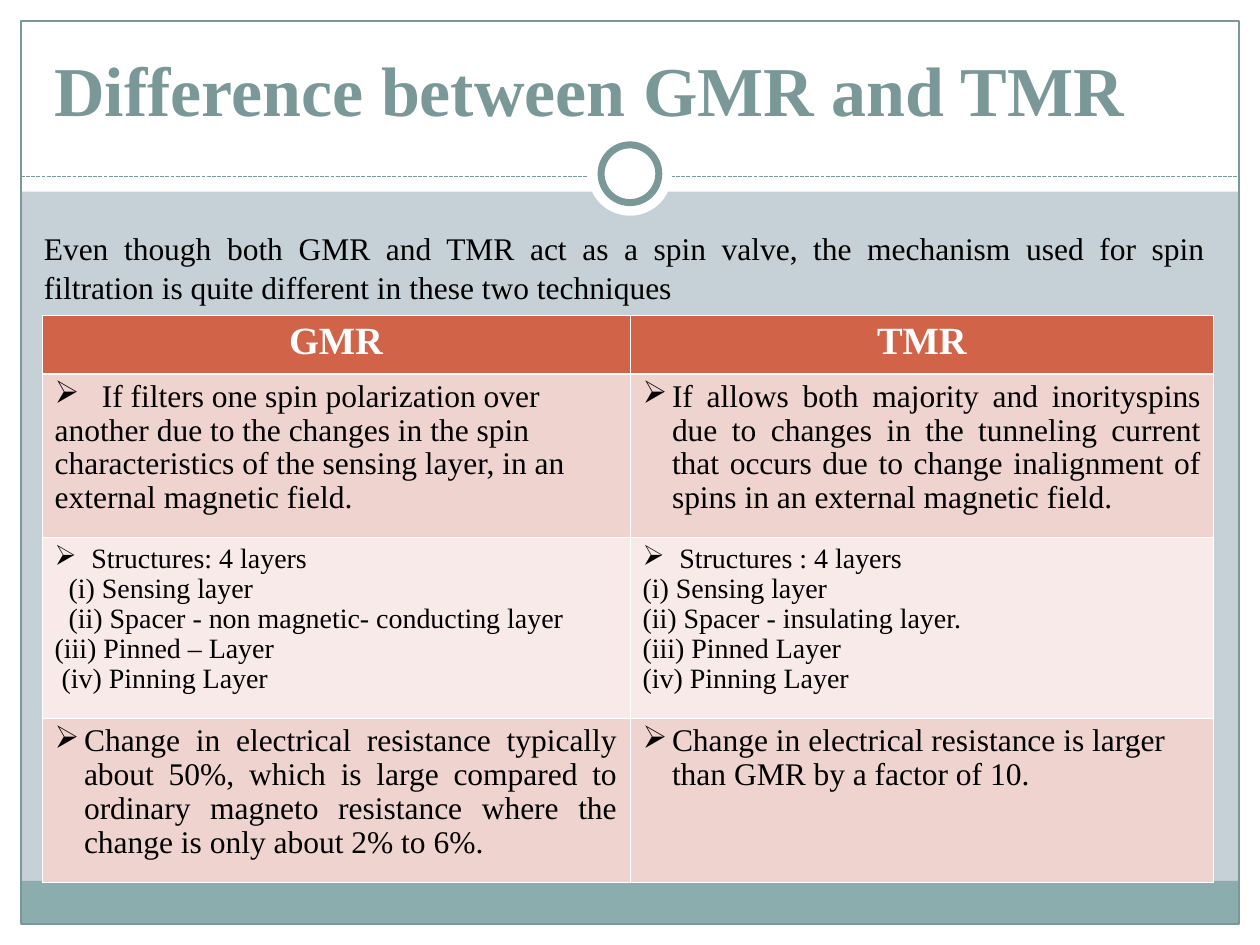
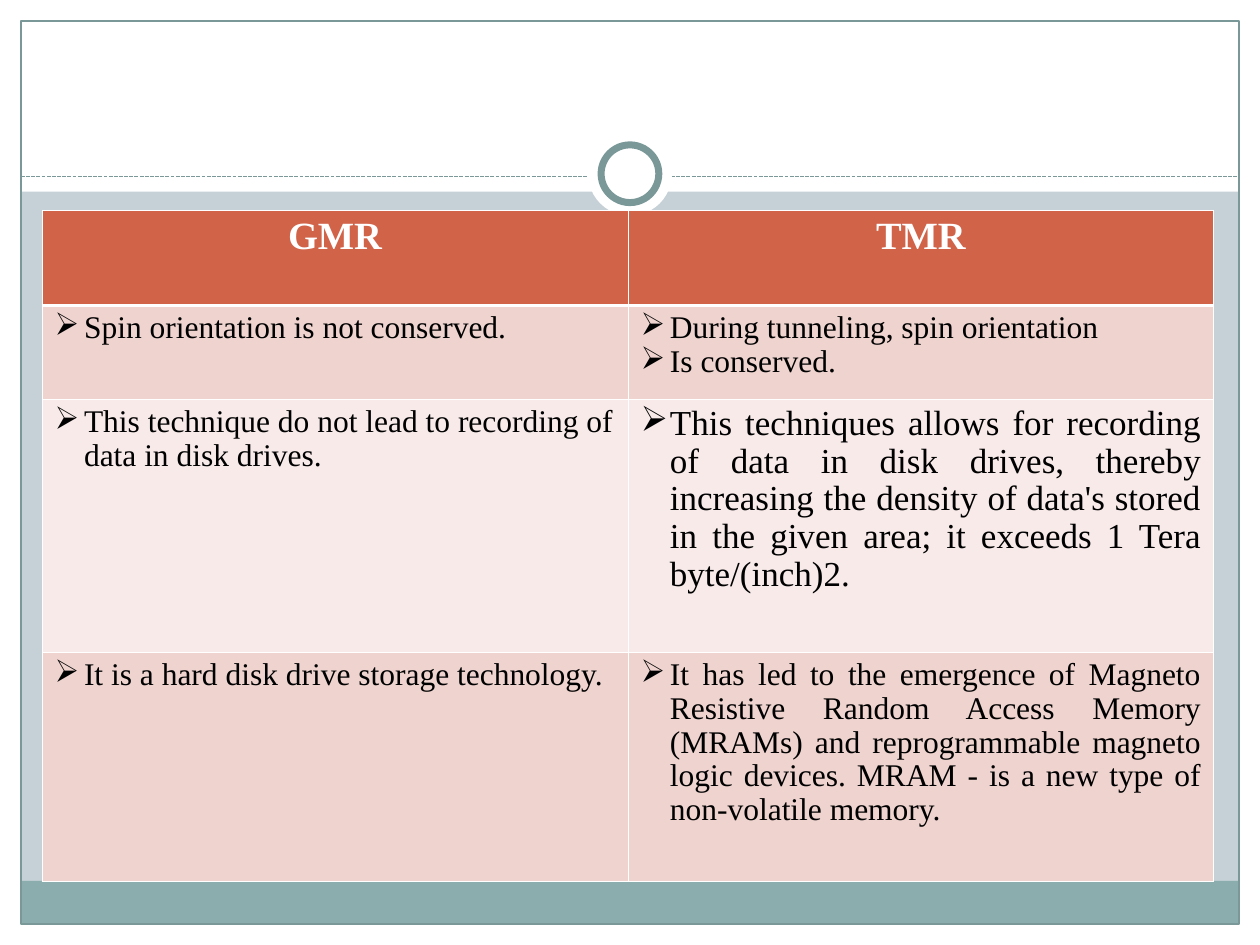
from dataclasses import dataclass

from lxml.etree import SubElement
from pptx import Presentation
from pptx.dml.color import RGBColor
from pptx.enum.dml import MSO_LINE
from pptx.enum.shapes import MSO_CONNECTOR, MSO_SHAPE
from pptx.enum.text import MSO_ANCHOR, PP_ALIGN
from pptx.oxml.ns import qn
from pptx.util import Inches, Pt

COLUMNS, ROWS = 120, 90  # grid of the slide, one unit is a twelfth of an inch
EDGE = 2  # white margin around the frame
FONT = "Times New Roman"
COLORS = {
    "back": "C5D1D7", "white": "FFFFFF", "footer": "8CADAE", "accent": "7B9899",
    "header": "D16349", "odd": "EED3CF", "even": "F7EAE9", "text": "000000",
}
LEFT, CENTER, JUSTIFY = PP_ALIGN.LEFT, PP_ALIGN.CENTER, PP_ALIGN.JUSTIFY


@dataclass
class Line:
    """One paragraph; margin and first-line indent are in grid units."""
    text: str
    size: int = 18
    align: PP_ALIGN = LEFT
    margin: float = 0
    indent: float = 0
    bullet: bool = False
    color: str = "text"
    bold: bool = False


def point(text, size=18, align=LEFT, hang=2.8):
    return Line(text, size, align, hang, -hang, True)


def layer(text, margin=0.0):
    return Line(text, 16, margin=margin)


def rgb(name):
    return RGBColor.from_string(COLORS[name])


class SlideBuilder:
    def __init__(self, deck):
        self.deck = deck
        self.unit = deck.slide_width / COLUMNS
        self.page = None

    def grid(self, *lengths):
        return [round(length * self.unit) for length in lengths]

    def add_page(self):
        self.page = self.deck.slides.add_slide(self.deck.slide_layouts[6])
        background = self.page.background.fill
        background.solid()
        background.fore_color.rgb = rgb("back")
        self.frame()

    def shape(self, kind, area, fill=None, line=None, width=0.75):
        item = self.page.shapes.add_shape(kind, *self.grid(*area))
        item.shadow.inherit = False
        if fill:
            item.fill.solid()
            item.fill.fore_color.rgb = rgb(fill)
        else:
            item.fill.background()
        if line:
            item.line.color.rgb = rgb(line)
            item.line.width = Pt(width)
        else:
            item.line.fill.background()

    def divider(self, row):
        rule = self.page.shapes.add_connector(
            MSO_CONNECTOR.STRAIGHT, *self.grid(EDGE, row, COLUMNS - EDGE, row))
        rule.line.color.rgb = rgb("accent")
        rule.line.width = Pt(0.75)
        rule.line.dash_style = MSO_LINE.SQUARE_DOT
        SubElement(rule._element.spPr, qn("a:effectLst"))

    def frame(self):
        """White margins, footer band, outline and the ring on the divider."""
        inner_width, inner_height = COLUMNS - 2 * EDGE, ROWS - 2 * EDGE
        margins = [
            (0, ROWS - EDGE, COLUMNS, EDGE), (0, 0, COLUMNS, 18.25),
            (0, 0, EDGE, ROWS), (COLUMNS - EDGE, 0, EDGE, ROWS),
        ]
        for margin in margins:
            self.shape(MSO_SHAPE.RECTANGLE, margin, "white")
        self.shape(MSO_SHAPE.RECTANGLE, (EDGE, 83.9, inner_width, 4.1), "footer")
        self.shape(MSO_SHAPE.RECTANGLE, (EDGE, EDGE, inner_width, inner_height),
                   line="accent")
        self.divider(16.8)
        for size, line in ((8, None), (5.5, "accent")):
            area = ((COLUMNS - size) / 2, 16.55 - size / 2, size, size)
            self.shape(MSO_SHAPE.OVAL, area, "white", line, 4)

    def add_lines(self, text_frame, lines, spacing):
        for number, line in enumerate(lines):
            para = text_frame.add_paragraph() if number else text_frame.paragraphs[0]
            properties = para._p.get_or_add_pPr()
            margin, indent = self.grid(line.margin, line.indent)
            properties.set("marL", str(margin))
            properties.set("indent", str(indent))
            if line.bullet:
                tint = SubElement(properties, qn("a:buClr"))
                SubElement(tint, qn("a:srgbClr"), val=COLORS["text"])
                SubElement(properties, qn("a:buChar"), char="➢")
            para.alignment = line.align
            para.line_spacing = spacing
            span = para.add_run()
            span.text = line.text
            span.font.name = FONT
            span.font.size = Pt(line.size)
            span.font.bold = line.bold
            span.font.color.rgb = rgb(line.color)

    def text(self, area, line, anchor=MSO_ANCHOR.TOP, spacing=1.0):
        box = self.page.shapes.add_textbox(*self.grid(*area))
        box.text_frame.word_wrap = True
        box.text_frame.vertical_anchor = anchor
        self.add_lines(box.text_frame, [line], spacing)

    def title(self, text):
        self.text((4, 3, 112, 10), Line(text, 40, color="accent", bold=True),
                  MSO_ANCHOR.BOTTOM)

    def borders(self, cell, row):
        """White cell edges, heavier between the header and the body."""
        heavy = {0: "B", 1: "T"}.get(row)
        properties = cell._tc.get_or_add_tcPr()
        for side in "LRTB":
            width = Pt(1.47 if side == heavy else 0.45)
            edge = SubElement(properties, qn(f"a:ln{side}"), w=str(width))
            fill = SubElement(edge, qn("a:solidFill"))
            SubElement(fill, qn("a:srgbClr"), val=COLORS["white"])

    def comparison(self, top, widths, heights, body):
        header = [[Line(name, 22, CENTER, color="white", bold=True)]
                  for name in ("GMR", "TMR")]
        area = self.grid(4, top, sum(widths), sum(heights))
        table = self.page.shapes.add_table(
            len(heights), len(widths), *area).table
        table.first_row = table.horz_banding = False
        for column, width in zip(table.columns, self.grid(*widths)):
            column.width = width
        for row, height in zip(table.rows, self.grid(*heights)):
            row.height = height
        for row, contents in enumerate([header, *body]):
            fill = "header" if row == 0 else "odd" if row % 2 else "even"
            for column, lines in enumerate(contents):
                cell = table.cell(row, column)
                self.borders(cell, row)
                cell.fill.solid()
                cell.fill.fore_color.rgb = rgb(fill)
                self.add_lines(cell.text_frame, lines, 0.97)


def mechanism_page(builder):
    builder.add_page()
    builder.title("Difference between GMR and TMR")
    filtering = [point("If filters one spin polarization over", 18, JUSTIFY, 4.5)] + [
        Line(text, align=JUSTIFY, margin=4.5, indent=-4.5) for text in (
            "another due to the changes in the spin",
            "characteristics of the sensing layer, in an",
            "external magnetic field.")]
    builder.comparison(30, (56, 55.6), (5.6, 15.6, 17.2, 15.6), [
        [filtering,
         [point("If allows both majority and inorityspins due to changes in the "
                "tunneling current that occurs due to change inalignment of spins "
                "in an external magnetic field.", align=JUSTIFY)]],
        [[point("Structures: 4 layers", 16, hang=3.5),
          layer("(i) Sensing layer", 1.33),
          layer("(ii) Spacer - non magnetic- conducting layer", 1.33),
          layer("(iii) Pinned – Layer"),
          layer("(iv) Pinning Layer", 0.67)],
         [point("Structures : 4 layers", 16, hang=3.5),
          layer("(i) Sensing layer"),
          layer("(ii) Spacer - insulating layer."),
          layer("(iii) Pinned Layer"),
          layer("(iv) Pinning Layer")]],
        [[point("Change in electrical resistance typically about 50%, which is "
                "large compared to ordinary magneto resistance where the change "
                "is only about 2% to 6%.", align=JUSTIFY)],
         [point("Change in electrical resistance is larger than GMR by a factor "
                "of 10.")]],
    ])
    builder.text((3, 21, 113, 8.4), Line(
        "Even though both GMR and TMR act as a spin valve, the mechanism used for "
        "spin filtration is quite different in these two techniques",
        align=JUSTIFY), spacing=1.05)


def applications_page(builder):
    builder.add_page()
    builder.comparison(20, (55.8, 55.8), (9.1, 8.9, 24.1, 21.8), [
        [[point("Spin orientation is not conserved.")],
         [point("During tunneling, spin orientation"), point("Is conserved.")]],
        [[point("This technique do not lead to recording of data in disk drives.")],
         [point("This techniques allows for recording of data in disk drives, "
                "thereby increasing the density of data's stored in the given "
                "area; it exceeds 1 Tera byte/(inch)2.", 20, JUSTIFY)]],
        [[point("It is a hard disk drive storage technology.")],
         [point("It has led to the emergence of Magneto Resistive Random Access "
                "Memory (MRAMs) and reprogrammable magneto logic devices. MRAM - "
                "is a new type of non-volatile memory.", align=JUSTIFY)]],
    ])


def main():
    deck = Presentation()
    deck.slide_width, deck.slide_height = Inches(10), Inches(7.5)
    builder = SlideBuilder(deck)
    mechanism_page(builder)
    applications_page(builder)
    deck.save("out.pptx")


if __name__ == "__main__":
    main()
